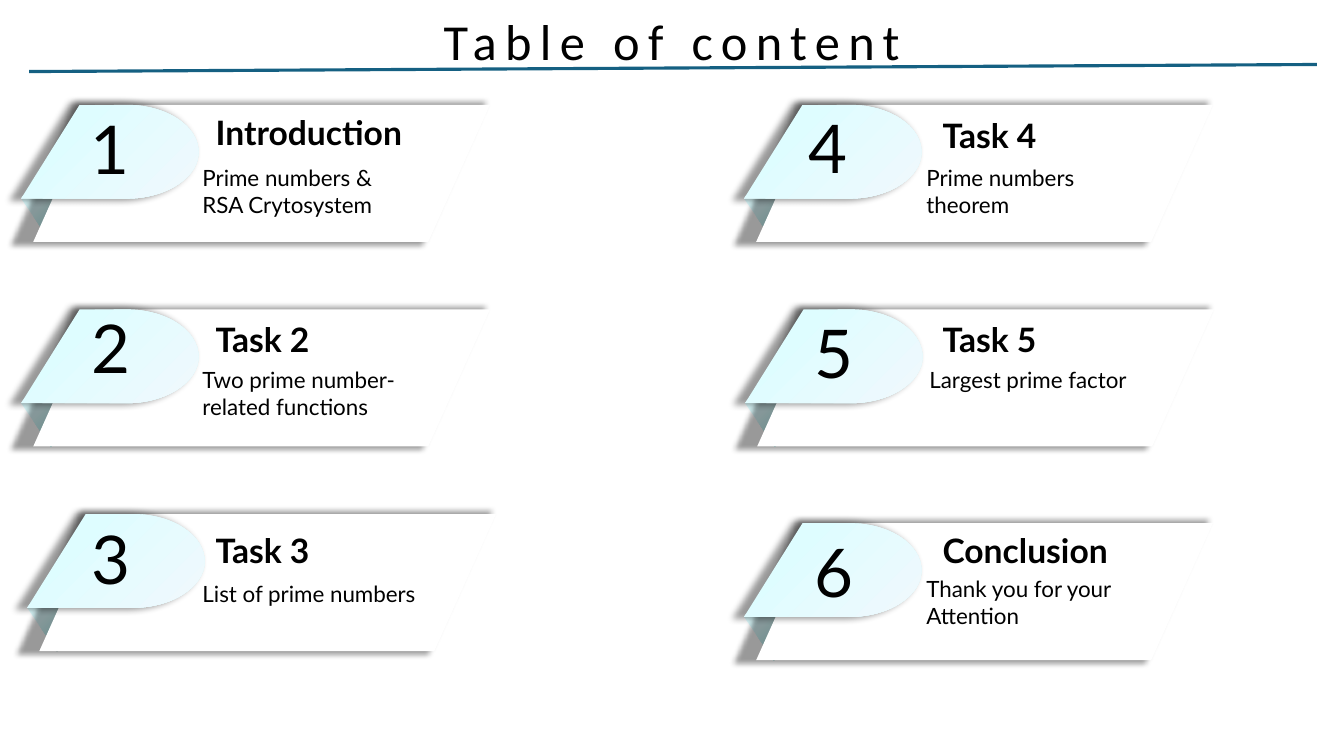
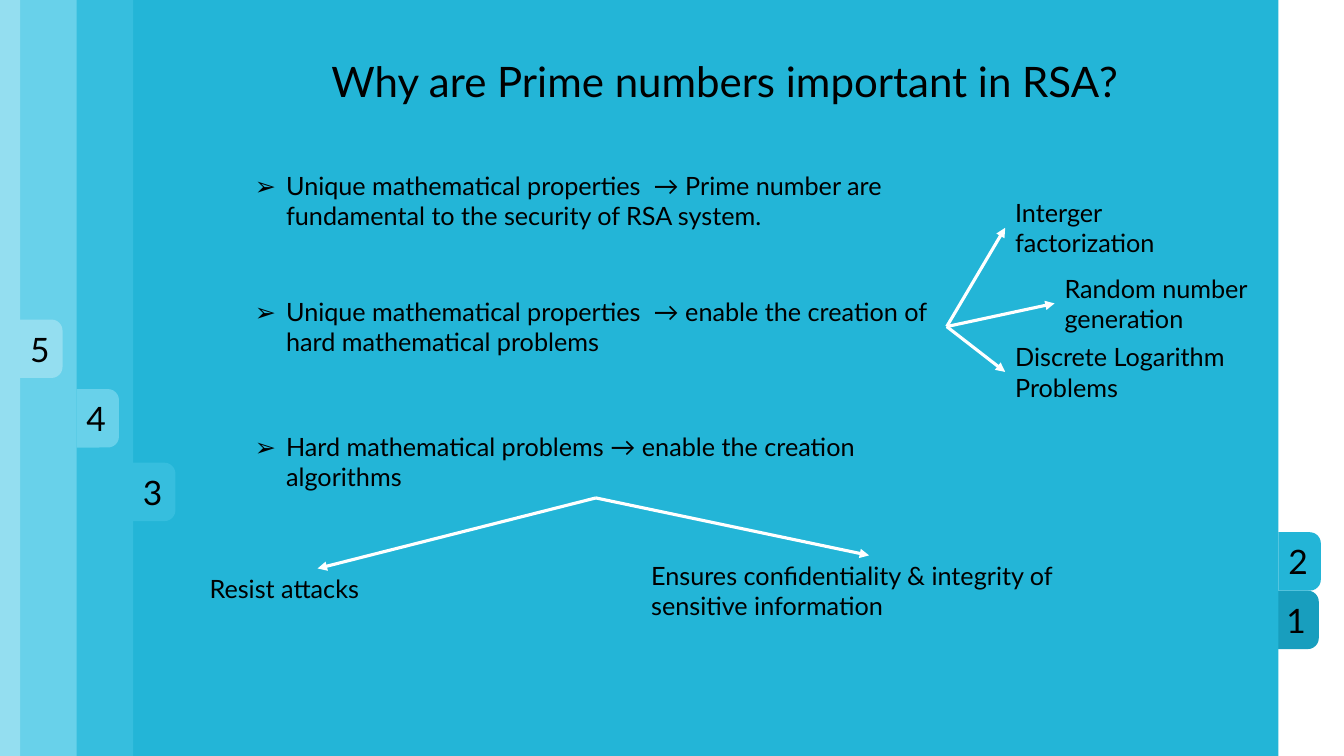
from dataclasses import dataclass

from lxml.etree import SubElement as Sub
from pptx import Presentation
from pptx.dml.color import RGBColor
from pptx.enum.shapes import MSO_CONNECTOR as Conn, MSO_SHAPE as Geo
from pptx.enum.text import MSO_AUTO_SIZE as Fit, PP_ALIGN as Align
from pptx.oxml.ns import qn
from pptx.util import Inches, Pt

BLACK, WHITE, RULE = "000000", "FFFFFF", "156082"
ICE, MIST, TEAL = "DEFDFF", "F0F8FD", "7DDEDC"
FONT = "Lato"
WIDE, HIGH = 13.33, 7.5


@dataclass
class Card:
    left: float
    top: float
    num: str
    num_at: tuple[float, float]
    head: str
    head_at: tuple[float, float]
    body: str
    body_at: tuple[float, float]
    body_high: float = 0.64


@dataclass
class Panel:
    left: float
    right: float
    tab_top: float
    num: str
    fill: str


@dataclass
class Note:
    left: float
    top: float
    width: float
    text: str
    mark: str = ""
    height: float = 0.71


@dataclass
class Fan:
    """Arrows that leave one point."""
    start: tuple[float, float]
    ends: list[tuple[float, float]]


CARDS = [
    Card(0.21, 1.04, "1", (0.8, 1.02), "Introduction", (2.04, 1.06),
         "Prime numbers & RSA Crytosystem", (1.91, 1.58)),
    Card(0.21, 3.07, "2", (0.81, 2.99), "Task 2", (2.04, 3.11),
         "Two prime number-related functions", (1.91, 3.58)),
    Card(0.27, 5.1, "3", (0.81, 5.08), "Task 3", (2.04, 5.21),
         "List of prime numbers", (1.91, 5.71), 0.37),
    Card(7.38, 1.04, "4", (7.92, 1.01), "Task 4", (9.25, 1.09),
         "Prime numbers theorem", (9.09, 1.58)),
    Card(7.39, 3.07, "5", (7.98, 3.04), "Task 5", (9.25, 3.11),
         "Largest prime factor", (9.12, 3.58), 0.37),
    Card(7.38, 5.19, "6", (7.98, 5.21), "Conclusion", (9.25, 5.21),
         "Thank you for your Attention", (9.09, 5.66)),
]

PANELS = [
    Panel(0, 12.66, 5.94, "1", "189EBE"),
    Panel(0.58, 12.68, 5.36, "2", "23B5D7"),
    Panel(-10.21, 1.32, 4.67, "3", "36BEDE"),
    Panel(-10.21, 0.76, 3.94, "4", "68D1EA"),
    Panel(-10.21, 0.2, 3.25, "5", "94DEF0"),
]

NOTES = [
    Note(2.43, 1.64, 6.96, "Unique mathematical properties  → Prime number are "
         "fundamental to the security of RSA system.", "➢"),
    Note(2.43, 2.89, 6.96, "Unique mathematical properties  → enable the "
         "creation of hard mathematical problems", "➢"),
    Note(2.43, 4.23, 6.96, "Hard mathematical problems → enable the creation "
         "algorithms", "➢"),
    Note(9.97, 1.91, 1.63, "Interger factorization"),
    Note(10.46, 2.66, 2.32, "Random number generation"),
    Note(9.97, 3.34, 2.32, "Discrete Logarithm Problems"),
    Note(1.98, 5.64, 2.32, "Resist attacks", height=0.4),
    Note(6.36, 5.51, 4.51, "Ensures confidentiality & integrity of sensitive "
         "information"),
]

FANS = [
    Fan((9.39, 3.24), [(9.97, 2.26), (10.46, 3.01), (9.97, 3.69)]),
    Fan((5.91, 4.94), [(3.15, 5.64), (8.62, 5.51)]),
]


def rgb(code: str) -> RGBColor:
    return RGBColor.from_string(code)


def write(shapes, text: str, left: float, top: float, width: float,
          height: float, *, size: float = 18, font: str = FONT,
          bold: bool = False, align=Align.LEFT, mark: str = "",
          gap: float = 0) -> None:
    """Add a text box; mark is a bullet, gap the letter spacing in points."""
    box = shapes.add_textbox(*map(Inches, (left, top, width, height)))
    frame = box.text_frame
    frame.word_wrap = True
    frame.auto_size = Fit.SHAPE_TO_FIT_TEXT
    para = frame.paragraphs[0]
    para.alignment = align
    if mark:
        props = para._p.get_or_add_pPr()
        props.set("marL", str(Inches(0.31)))
        props.set("indent", str(-Inches(0.31)))
        Sub(props, qn("a:buFont"), typeface=font)
        Sub(props, qn("a:buChar"), char=mark)
    run = para.add_run()
    run.text = text
    run.font.size = Pt(size)
    run.font.name = font
    run.font.bold = bold
    run.font.color.rgb = rgb(BLACK)
    if gap:
        run._r.get_or_add_rPr().set("spc", str(round(gap * 100)))


def plain(shape, fill: str = "") -> None:
    """Drop line and shadow, and fill with one colour if given."""
    shape.shadow.inherit = False
    shape.line.fill.background()
    if fill:
        shape.fill.solid()
        shape.fill.fore_color.rgb = rgb(fill)


def add(shapes, geo, left: float, top: float, width: float, height: float,
        fill: str = "", turn: float = 0):
    shape = shapes.add_shape(geo, *map(Inches, (left, top, width, height)))
    plain(shape, fill)
    shape.rotation = turn
    return shape


def glow(shape, inner: str) -> None:
    """Fill with a round gradient that starts at the lower right corner."""
    shape.fill.gradient()
    for stop, code, place in zip(shape.fill.gradient_stops,
                                 (inner, ICE), (0, 0.74)):
        stop.color.rgb = rgb(code)
        stop.position = place
    grad = shape._element.spPr.find(qn("a:gradFill"))
    grad.remove(grad.find(qn("a:lin")))
    way = Sub(grad, qn("a:path"), path="circle")
    Sub(way, qn("a:fillToRect"), l="100000", t="100000")


def shade(shape, blur: float) -> None:
    """Cast a soft, slightly larger shadow that reaches out to the left."""
    group = shape._element.spPr.find(qn("a:effectLst"))
    cast = Sub(group, qn("a:outerShdw"), blurRad=str(Pt(blur)),
               dist=str(Pt(3)), dir="10800000", sx="104000", sy="104000",
               algn="r", rotWithShape="0")
    tint = Sub(cast, qn("a:srgbClr"), val=BLACK)
    Sub(tint, qn("a:alpha"), val="40000")


def line(shapes, start: tuple[float, float], end: tuple[float, float],
         code: str, arrow: bool = False) -> None:
    link = shapes.add_connector(Conn.STRAIGHT, *map(Inches, (*start, *end)))
    link.line.color.rgb = rgb(code)
    link.line.width = Pt(2.25)
    if arrow:
        Sub(link.line._get_or_add_ln(), qn("a:tailEnd"), type="triangle")
    Sub(link._element.spPr, qn("a:effectLst"))


def bend(shape, first: int, count: int) -> None:
    """Turn each three straight steps from first on into one curve."""
    steps = list(shape._element.iter(qn("a:lnTo")))
    for i in range(first, first + 3 * count, 3):
        curve = steps[i].makeelement(qn("a:cubicBezTo"))
        steps[i].addprevious(curve)
        for step in steps[i:i + 3]:
            curve.append(step[0])
            step.getparent().remove(step)


def badge(shapes, left: float, top: float):
    """Add an outline with a slanted left side and a round right end."""
    dots = [(1.05, 0), (1.44, 0), (1.76, 0.21), (1.76, 0.47),
            (1.76, 0.72), (1.44, 0.93), (1.05, 0.93), (0, 0.93)]
    pen = shapes.build_freeform(Inches(left + 0.58), Inches(top))
    pen.add_line_segments([(Inches(left + x), Inches(top + y))
                           for x, y in dots], close=True)
    shape = pen.convert_to_shape()
    bend(shape, 1, 2)
    plain(shape)
    return shape


def draw_card(shapes, card: Card) -> None:
    left, top = card.left, card.top
    group = shapes.add_group_shape().shapes
    fold = add(group, Geo.ISOSCELES_TRIANGLE, left, top + 0.93, 0.59, 0.43,
               turn=180)
    glow(fold, TEAL)
    sheet = add(group, Geo.PARALLELOGRAM, left + 0.12, top, 4.53, 1.36, WHITE)
    sheet.adjustments[0] = 0.45
    shade(sheet, 4)
    tag = badge(group, left, top)
    glow(tag, MIST)
    shade(tag, 5)


def label(shapes, card: Card) -> None:
    write(shapes, card.num, *card.num_at, 0.68, 0.91, size=48)
    write(shapes, card.head, *card.head_at, 2.32, 0.5, size=24, bold=True)
    write(shapes, card.body, *card.body_at, 2.32, card.body_high, size=16)


def draw_panel(shapes, panel: Panel) -> None:
    right, top = panel.right, panel.tab_top
    group = shapes.add_group_shape().shapes
    add(group, Geo.RECTANGLE, panel.left, 0, right - panel.left, HIGH,
        panel.fill)
    tab = add(group, Geo.ROUND_2_SAME_RECTANGLE, right - 0.08, top, 0.58, 0.42,
              panel.fill, 90)
    tab.adjustments[0] = 0.26
    tab.adjustments[1] = 0
    write(group, panel.num, right, top - 0.04, 0.37, 0.5, size=24,
          align=Align.CENTER)


def contents(shapes) -> None:
    line(shapes, (0.29, 0.71), (13.06, 0.64), RULE)
    write(shapes, "Table of content", 1.38, 0.05, 10.57, 0.71, size=36,
          font="Calibri", align=Align.CENTER, gap=6)
    for draw in (draw_card, label):
        for card in CARDS:
            draw(shapes, card)


def reasons(shapes) -> None:
    for panel in PANELS:
        draw_panel(shapes, panel)
    write(shapes, "Why are Prime numbers important in RSA?", 2.43, 0.5, 9.52,
          0.61, size=30, align=Align.CENTER)
    for note in NOTES:
        write(shapes, note.text, note.left, note.top, note.width, note.height,
              mark=note.mark)
    for fan in FANS:
        for end in fan.ends:
            line(shapes, fan.start, end, WHITE, arrow=True)


def main() -> None:
    deck = Presentation()
    deck.slide_width, deck.slide_height = Inches(WIDE), Inches(HIGH)
    for draw in (contents, reasons):
        draw(deck.slides.add_slide(deck.slide_layouts[6]).shapes)
    deck.save("out.pptx")


if __name__ == "__main__":
    main()
